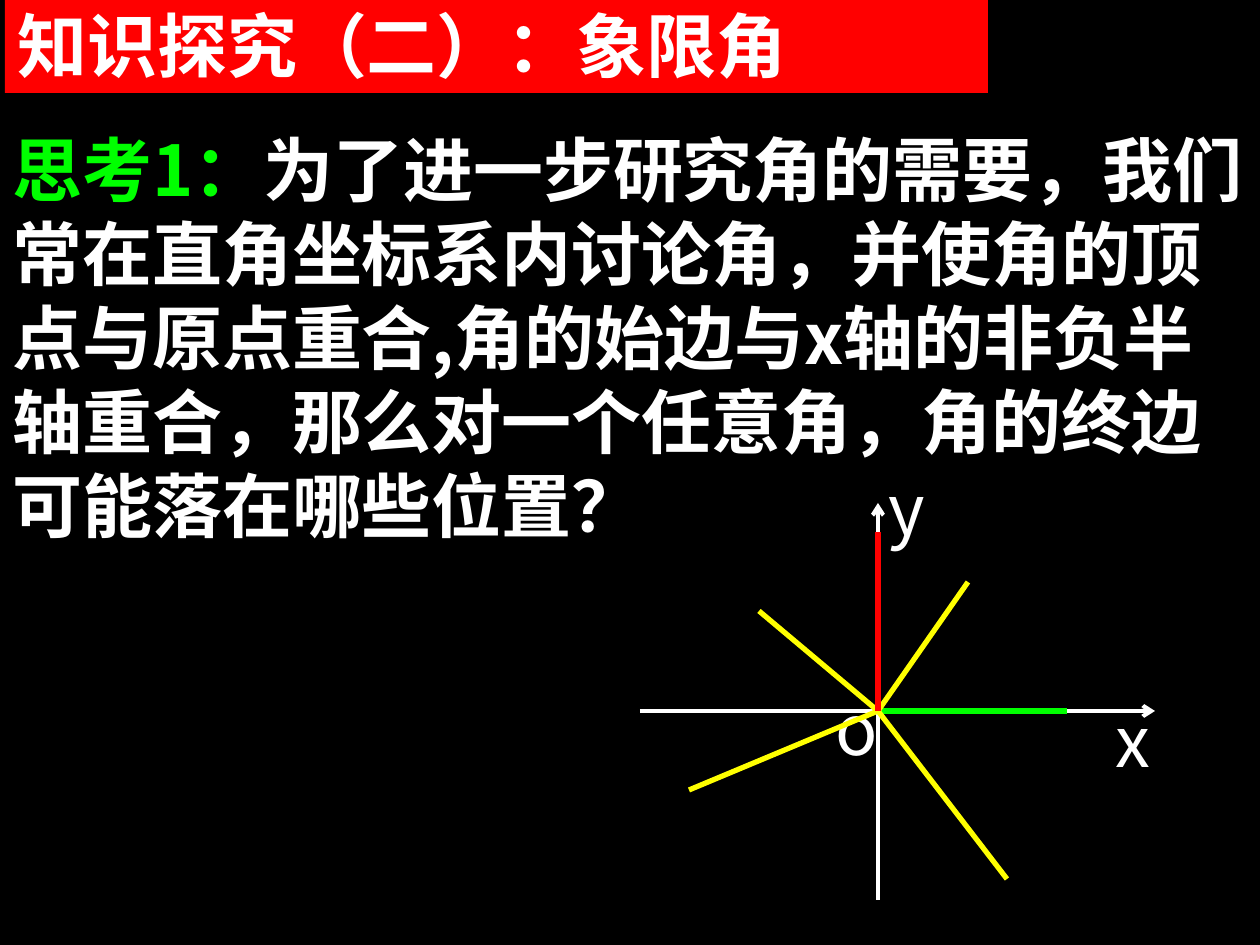
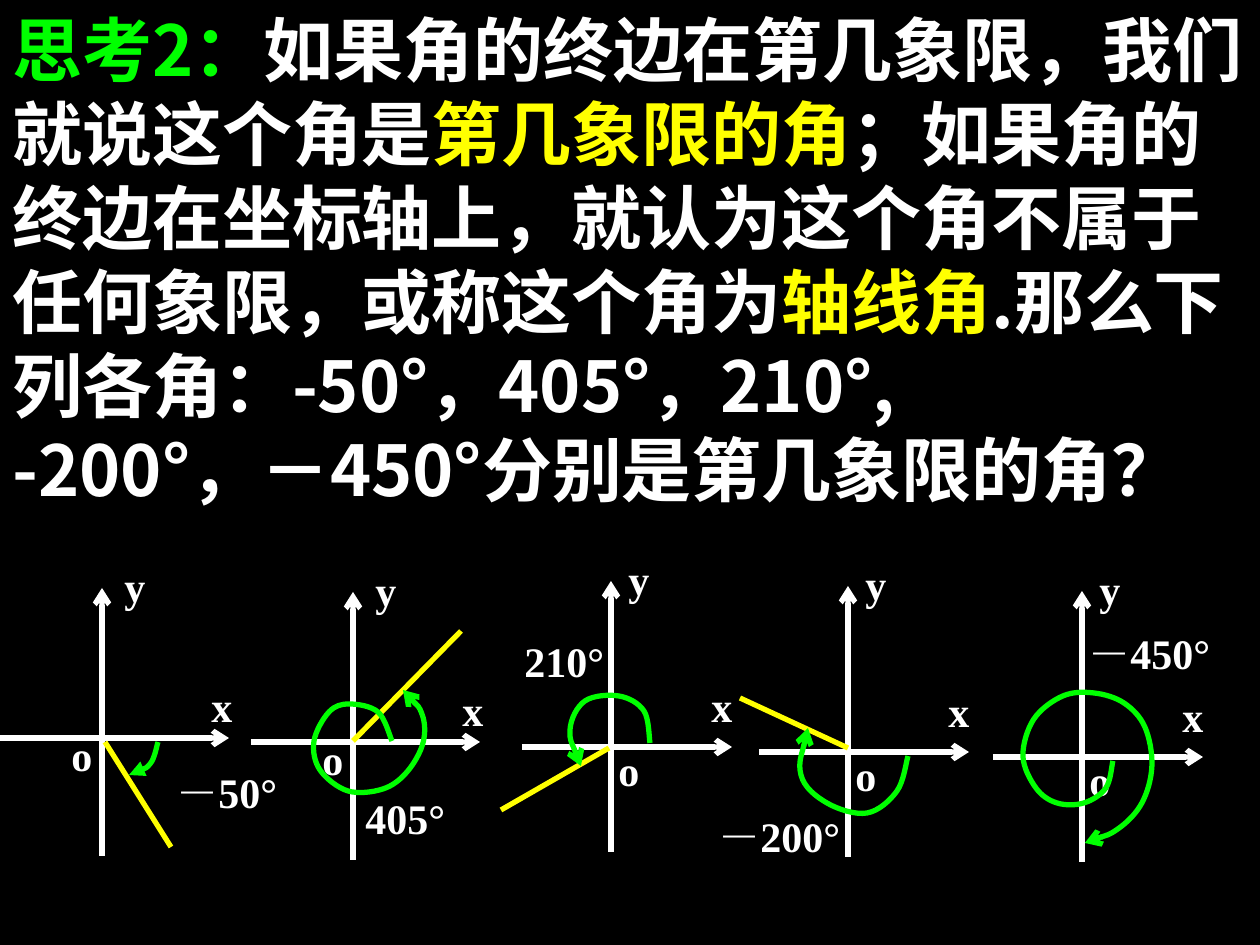
"""Build two slides on quadrant angles with coordinate-axis diagrams."""
from dataclasses import dataclass

from lxml import etree
from pptx import Presentation
from pptx.dml.color import RGBColor
from pptx.enum.shapes import MSO_CONNECTOR, MSO_SHAPE
from pptx.oxml.ns import qn
from pptx.util import Pt

STRAIGHT = MSO_CONNECTOR.STRAIGHT
RECTANGLE = MSO_SHAPE.RECTANGLE
SCALE = 914400 / 126


@dataclass(frozen=True)
class Theme:
    black: RGBColor = RGBColor(0, 0, 0)
    white: RGBColor = RGBColor(255, 255, 255)
    red: RGBColor = RGBColor(255, 0, 0)
    green: RGBColor = RGBColor(0, 255, 0)
    yellow: RGBColor = RGBColor(255, 255, 0)
    body_font: str = "Noto Sans CJK SC"
    title_font: str = "Arial"
    label_font: str = "Times New Roman"
    body_size: int = 40
    label_size: int = 24
    thin: float = 2.25
    thick: float = 3


T = Theme()


@dataclass(frozen=True)
class AxesLayout:
    left: int
    right: int
    up: int
    down: int
    x_label: tuple
    y_label: tuple
    o_label: tuple
    box: tuple
    size: int = T.label_size
    font: str = T.label_font
    bold: bool = True
    width: float = T.thick


LARGE = AxesLayout(238, 277, 208, 189, (225, -20), (-2, -252), (-55, -32), (89, 97),
                   T.body_size, T.body_font, False, T.thin)
WIDE = AxesLayout(102, 127, 150, 118, (97, -64), (10, -184), (-43, -15), (77, 81))
NARROW = AxesLayout(89, 121, 166, 105, (88, -73), (5, -200), (-5, -9), (71, 87))

ANGLES = [
    (WIDE, (102, 738), "－50°", (164, 760), ((105, 742), (171, 847)), "triangle",
     [(158, 742), (150, 764), (129, 775)]),
    (WIDE, (353, 742), "405°", (353, 786), ((353, 741), (461, 631)), "arrow",
     [(392, 741), (378, 712), (349, 704), (329, 712), (314, 741), (320, 770),
      (348, 791), (383, 789), (407, 772), (423, 743), (422, 714), (403, 690)]),
    (NARROW, (611, 747), "210°", (512, 629), ((609, 748), (501, 810)), "arrow",
     [(650, 743), (644, 711), (619, 696), (585, 701), (570, 730), (581, 766)]),
    (NARROW, (848, 752), "－200°", (706, 804), ((848, 748), (740, 698)), "arrow",
     [(908, 756), (897, 791), (867, 813), (827, 803), (801, 775), (808, 728)]),
    (NARROW, (1082, 757), "－450°", (1076, 621), None, "arrow",
     [(1113, 761), (1106, 788), (1084, 803), (1057, 803), (1036, 788),
      (1023, 756), (1034, 719), (1063, 696), (1094, 693), (1124, 703),
      (1145, 727), (1152, 766), (1142, 803), (1118, 829), (1085, 843)]),
]


def px(value):
    """Convert px to EMU."""
    return round(value * SCALE)


def add_slide(prs):
    """Add a blank slide with the black background."""
    s = prs.slides.add_slide(prs.slide_layouts[6])
    s.background.fill.solid()
    s.background.fill.fore_color.rgb = T.black
    return s


def style_font(p, font, size, bold, color=None):
    """Set the paragraph font, for East Asian text too."""
    p.font.size = Pt(size)
    p.font.bold = bold
    if color is not None:
        p.font.color.rgb = color
    p.font.name = font
    props = p._p.pPr.find(qn("a:defRPr"))
    etree.SubElement(props, qn("a:ea")).set("typeface", font)


def add_body(s, top, height, paragraphs):
    """Add full-width text whose runs are (text, colour) pairs."""
    tf = s.shapes.add_textbox(0, px(top), px(1260), px(height)).text_frame
    tf.word_wrap = True
    for i, runs in enumerate(paragraphs):
        p = tf.add_paragraph() if i else tf.paragraphs[0]
        style_font(p, T.body_font, T.body_size, True)
        for text, color in runs:
            r = p.add_run()
            r.text = text
            r.font.color.rgb = color


def add_title(s, text, topic):
    """Add the red title band."""
    sp = s.shapes.add_shape(RECTANGLE, px(5), px(-4), px(983), px(97))
    sp.shadow.inherit = False
    sp.fill.solid()
    sp.fill.fore_color.rgb = T.red
    sp.line.fill.background()
    p = sp.text_frame.paragraphs[0]
    p.alignment = 1
    style_font(p, T.body_font, T.body_size, True, T.white)
    p.add_run().text = text
    r = p.add_run()
    r.text = topic
    r.font.name = T.title_font


def add_label(s, text, at, box, font=T.label_font, size=T.label_size, bold=True):
    """Add a white label."""
    tf = s.shapes.add_textbox(px(at[0]), px(at[1]), px(box[0]), px(box[1])).text_frame
    tf.word_wrap = True
    p = tf.paragraphs[0]
    style_font(p, font, size, bold, T.white)
    p.add_run().text = text


def style_line(sp, color, width, head=None):
    """Set line colour and width, with an optional arrowhead at its end."""
    sp.line.color.rgb = color
    sp.line.width = Pt(width)
    props = sp._element.spPr
    if head:
        etree.SubElement(props.find(qn("a:ln")), qn("a:tailEnd")).set("type", head)
    if props.find(qn("a:effectLst")) is None:
        etree.SubElement(props, qn("a:effectLst"))


def add_line(s, start, end, color, width=T.thick, head=None):
    """Add a straight line."""
    sp = s.shapes.add_connector(STRAIGHT, *map(px, (*start, *end)))
    style_line(sp, color, width, head)


def add_axes(s, origin, layout):
    """Add both axes and their labels around an origin."""
    x, y = origin
    add_line(s, (x - layout.left, y), (x + layout.right, y), T.white, layout.width, "arrow")
    add_line(s, (x, y + layout.down), (x, y - layout.up), T.white, layout.width, "arrow")
    labels = zip("xyo", (layout.x_label, layout.y_label, layout.o_label))
    for text, (dx, dy) in labels:
        add_label(s, text, (x + dx, y + dy), layout.box,
                  layout.font, layout.size, layout.bold)


def add_turn(s, knots, head):
    """Add a smooth green curve through the knots, ending in an arrowhead."""
    points = [(px(x), px(y)) for x, y in knots]
    builder = s.shapes.build_freeform(*points[0], scale=1.0)
    builder.add_line_segments(points[1:], close=False)
    sp = builder.convert_to_shape()
    sp.shadow.inherit = False
    sp.fill.background()
    left, top = sp.left, sp.top
    padded = [points[0], *points, points[-1]]
    segments = list(sp._element.spPr.iter(qn("a:lnTo")))
    for segment, a, b, c, d in zip(segments, padded, padded[1:], padded[2:], padded[3:]):
        controls = [[q + (n - m) / 6 for m, q, n in zip(a, b, c)],
                    [q - (n - m) / 6 for m, q, n in zip(b, c, d)]]
        segment.getparent().replace(segment, curve_to([*controls, c], left, top))
    style_line(sp, T.green, T.thick, head)


def curve_to(points, left, top):
    """Return a cubic segment in coordinates local to the shape."""
    curve = etree.Element(qn("a:cubicBezTo"))
    for x, y in points:
        pt = etree.SubElement(curve, qn("a:pt"))
        pt.set("x", str(round(x - left)))
        pt.set("y", str(round(y - top)))
    return curve


def build_terminal_sides(prs):
    """Build the slide on where terminal sides may lie."""
    s = add_slide(prs)
    add_title(s, "知识探究（二）：", "象限角")
    add_body(s, 120, 433, [[
        ("思考1：", T.green),
        ("为了进一步研究角的需要，我们常在直角坐标系内讨论角，并使角的顶点与原点重合,"
         "角的始边与x轴的非负半轴重合，那么对一个任意角，角的终边可能落在哪些位置？", T.white),
    ]])
    origin = (878, 711)
    add_axes(s, origin, LARGE)
    add_line(s, origin, (1067, 711), T.green)
    for end in ((968, 582), (759, 611), (689, 790), (1007, 879)):
        add_line(s, origin, end, T.yellow)
    add_line(s, origin, (878, 532), T.red)


def build_quadrant_angles(prs):
    """Build the slide on naming angles by quadrant."""
    s = add_slide(prs)
    add_body(s, 0, 517, [
        [("思考2：", T.green),
         ("如果角的终边在第几象限，我们就说这个角是", T.white),
         ("第几象限的角", T.yellow),
         ("；如果角的终边在坐标轴上，就认为这个角不属于任何象限，或称这个角为", T.white),
         ("轴线角", T.yellow),
         (".那么下列各角：-50°，405°，210°,", T.white)],
        [("-200°，－450°分别是第几象限的角？", T.white)],
    ])
    for layout, origin, name, name_at, side, head, knots in ANGLES:
        add_axes(s, origin, layout)
        if side:
            add_line(s, *side, T.yellow)
        add_turn(s, knots, head)
        add_label(s, name, name_at, (184, 80))


def main():
    """Build and save the presentation."""
    prs = Presentation()
    prs.slide_width, prs.slide_height = px(1260), px(945)
    build_terminal_sides(prs)
    build_quadrant_angles(prs)
    prs.save("out.pptx")


if __name__ == "__main__":
    main()
